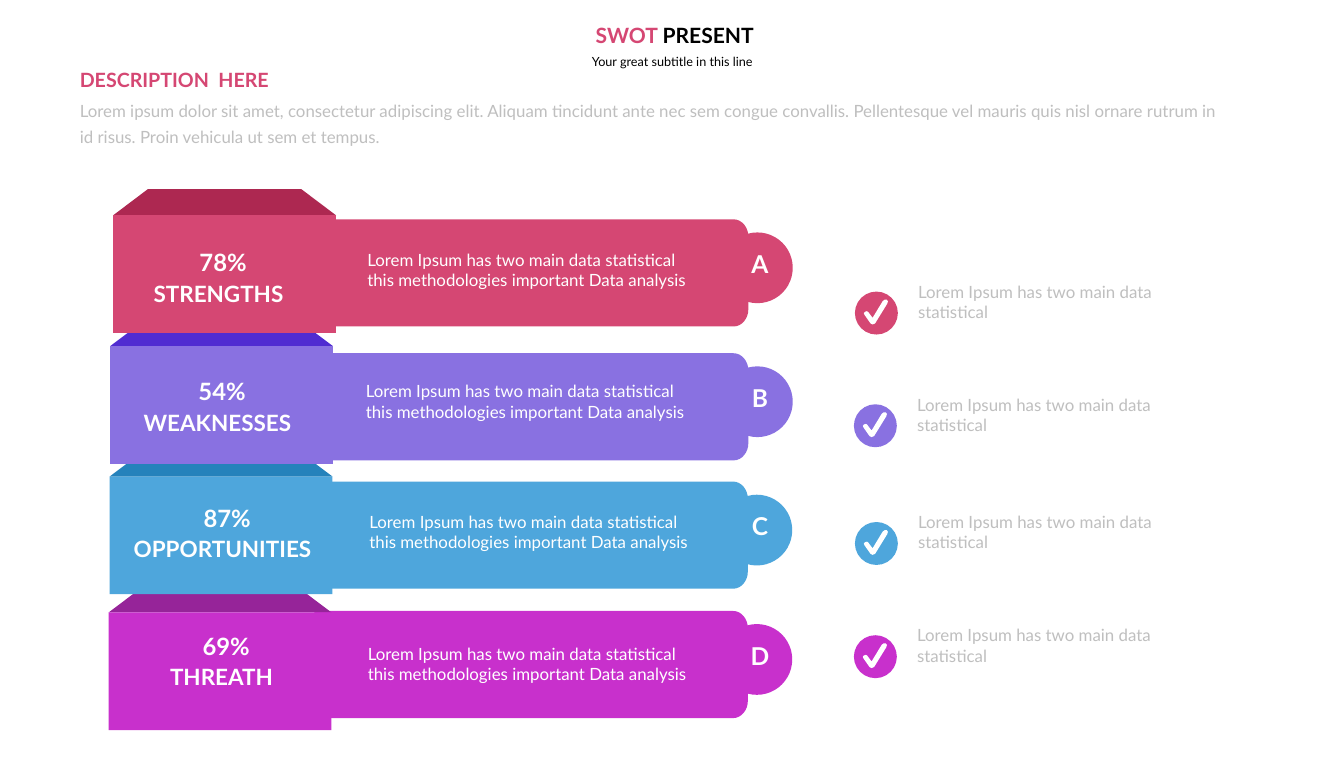
from dataclasses import dataclass

from lxml import etree
from pptx import Presentation
from pptx import util as u
from pptx.dml.color import RGBColor
from pptx.enum import shapes, text
from pptx.oxml.ns import qn

FONT = "Lato"
WHITE, BLACK, GREY, PINK = "FFFFFF", "000000", "BFBFBF", "D54773"
CENTER, LEFT = text.PP_ALIGN.CENTER, text.PP_ALIGN.LEFT
DETAIL = ("Lorem Ipsum has two main data statistical "
          "this methodologies important Data analysis")
NOTE = "Lorem Ipsum has two main data statistical"

# Outlines, in inches from the top left: two values make a line, six a Bézier curve.
BAR = [(8.29, 0), (0, 0), (0, 2.12), (8.29, 2.12),
       (8.46, 2.12, 8.58, 1.95, 8.58, 1.79), (8.58, 0.33),
       (8.58, 0.17, 8.46, 0, 8.29, 0)]
LID = [(4.41, 0.52), (0, 0.52), (0.69, 0), (3.72, 0)]
TICK = [(0.35, 0.65), (0.34, 0.65, 0.33, 0.64, 0.31, 0.63), (0.19, 0.46),
        (0.17, 0.44, 0.17, 0.41, 0.2, 0.4), (0.23, 0.38, 0.25, 0.39, 0.26, 0.4),
        (0.35, 0.52), (0.55, 0.19), (0.58, 0.16, 0.6, 0.15, 0.63, 0.16),
        (0.66, 0.17, 0.66, 0.21, 0.64, 0.24), (0.4, 0.63),
        (0.39, 0.64, 0.38, 0.65, 0.35, 0.65)]


@dataclass
class Point:
    left: float
    top: float


@dataclass
class Factor:
    letter: str
    name: str
    percent: str
    color: str
    lid_color: str
    bar: Point
    block: Point
    label: Point
    detail: Point
    tick: Point
    note_width: float


FACTORS = [
    Factor("A", "STRENGTHS", "78%", PINK, "AD2851", Point(6.23, 4.34),
           Point(2.24, 4.26), Point(2.24, 5.44), Point(7.03, 4.82), Point(16.92, 5.77), 6.28),
    Factor("B", "WEAKNESSES", "54%", "8971E1", "502CD1", Point(6.23, 6.99),
           Point(2.18, 6.85), Point(2.22, 7.99), Point(7, 7.42), Point(16.9, 8), 5.4),
    Factor("C", "OPPORTUNITIES", "87%", "4EA6DC", "2582BB", Point(6.22, 9.53),
           Point(2.17, 9.43), Point(2.32, 10.49), Point(7.07, 10.01), Point(16.92, 10.33), 6.28),
    Factor("D", "THREATH", "69%", "C830CC", "962499", Point(6.22, 12.09),
           Point(2.15, 12.12), Point(2.3, 13.03), Point(7.04, 12.61), Point(16.9, 12.57), 5.4),
]


def paint(shape, color: str) -> None:
    shape.fill.solid()
    shape.fill.fore_color.rgb = RGBColor.from_string(color)
    shape.line.fill.background()
    shape.shadow.inherit = False


def style_span(span, size: float, color: str, bold: bool) -> None:
    span.font.name = FONT
    span.font.size = u.Pt(size)
    span.font.bold = bold
    span.font.color.rgb = RGBColor.from_string(color)


def set_frame(frame, inset: float) -> None:
    """Wrap the text and set insets, the sides twice as wide as top and bottom."""
    frame.word_wrap = True
    frame.auto_size = text.MSO_AUTO_SIZE.SHAPE_TO_FIT_TEXT
    frame.vertical_anchor = text.MSO_ANCHOR.TOP
    frame.margin_left = frame.margin_right = u.Inches(inset)
    frame.margin_top = frame.margin_bottom = u.Inches(inset / 2)


def add_text(page, words: str, left: float, top: float, width: float, height: float,
             size: float, color: str, bold: bool = False, align=LEFT, inset: float = 0.2):
    box = page.shapes.add_textbox(*map(u.Inches, (left, top, width, height)))
    set_frame(box.text_frame, inset)
    para = box.text_frame.paragraphs[0]
    para.text = words
    para.alignment = align
    style_span(para.runs[0], size, color, bold)
    return box


def add_preset(page, kind, left: float, top: float, width: float, height: float,
               color: str) -> None:
    paint(page.shapes.add_shape(kind, *map(u.Inches, (left, top, width, height))), color)


def bend(shape, outline: list[tuple], left: float, top: float) -> None:
    """Turn the straight segments of a freeform into the curves of its outline."""
    segments = list(shape._element.iter(qn("a:lnTo")))
    for segment, part in zip(segments, outline[1:]):
        if len(part) == 2:
            continue
        segment.tag = qn("a:cubicBezTo")
        for index, (x, y) in enumerate((part[:2], part[2:4])):
            control = etree.Element(qn("a:pt"))
            control.set("x", str(u.Inches(left + x) - shape.left))
            control.set("y", str(u.Inches(top + y) - shape.top))
            segment.insert(index, control)


def add_outline(page, outline: list[tuple], left: float, top: float, color: str) -> None:
    points = [(u.Inches(left + part[-2]), u.Inches(top + part[-1])) for part in outline]
    builder = page.shapes.build_freeform(*points[0])
    builder.add_line_segments(points[1:], close=True)
    shape = builder.convert_to_shape()
    bend(shape, outline, left, top)
    paint(shape, color)


def add_heading(page) -> None:
    title = page.shapes.title
    title.left, title.top, title.width, title.height = map(u.Inches, (8.3, 0.34, 10.11, 0.71))
    set_frame(title.text_frame, 0.2)
    para = title.text_frame.paragraphs[0]
    para.alignment = CENTER
    for words, color in (("SWOT ", PINK), ("PRESENT", BLACK)):
        span = para.add_run()
        span.text = words
        style_span(span, 30, color, True)
    add_text(page, "Your great subtitle in this line", 9.22, 0.95, 8.17, 0.55,
             18, BLACK, align=CENTER, inset=0.24)
    intro = add_text(
        page, "Lorem ipsum dolor sit amet, consectetur adipiscing elit. Aliquam tincidunt "
        "ante nec sem congue convallis. Pellentesque vel mauris quis nisl ornare rutrum in "
        "id risus. Proin vehicula ut sem et tempus.",
        1.31, 1.73, 23.14, 1.32, 24, GREY, inset=0.27)
    intro.text_frame.vertical_anchor = text.MSO_ANCHOR.MIDDLE
    intro.text_frame.paragraphs[0].line_spacing = 1.3
    add_text(page, "DESCRIPTION  HERE", 1.38, 1.25, 4.61, 0.67, 28, PINK, True)


def add_bar(page, factor: Factor) -> None:
    left, top = factor.bar.left, factor.bar.top
    add_outline(page, BAR, left, top, factor.color)
    add_preset(page, shapes.MSO_SHAPE.OVAL, left + 8.06, top + 0.26, 1.4, 1.4, factor.color)
    add_text(page, factor.letter, 14.39, top + 0.54, 1.3, 0.69, 35, WHITE, True, CENTER, 0.1)


def add_block(page, factor: Factor) -> None:
    left, top = factor.block.left, factor.block.top
    add_outline(page, LID, left, top - 0.52, factor.lid_color)
    add_preset(page, shapes.MSO_SHAPE.RECTANGLE, left, top, 4.41, 2.33, factor.color)


def add_label(page, factor: Factor) -> None:
    left, top = factor.label.left, factor.label.top
    add_text(page, factor.name, left, top, 4.17, 0.74, 32, WHITE, True, CENTER)
    add_text(page, factor.percent, left + 0.35, top - 0.63, 3.65, 0.77, 34, WHITE, True, CENTER)


def add_detail(page, factor: Factor) -> None:
    add_text(page, DETAIL, factor.detail.left, factor.detail.top, 6.84, 1.05,
             24, WHITE, inset=0.24)


def add_note(page, factor: Factor) -> None:
    left, top = factor.tick.left, factor.tick.top
    add_text(page, NOTE, left + 1.01, top - 0.32, factor.note_width, 1.05,
             24, GREY, inset=0.24)
    add_preset(page, shapes.MSO_SHAPE.OVAL, left, top, 0.85, 0.85, factor.color)
    add_outline(page, TICK, left, top, WHITE)


def main() -> None:
    deck = Presentation()
    deck.slide_width, deck.slide_height = u.Inches(26.6), u.Inches(15)
    page = deck.slides.add_slide(deck.slide_layouts[5])
    add_heading(page)
    for factor in FACTORS:
        add_bar(page, factor)
    for factor in reversed(FACTORS):  # each block covers the lid of the one below
        add_block(page, factor)
    for add_part in (add_label, add_detail, add_note):
        for factor in FACTORS:
            add_part(page, factor)
    deck.save("out.pptx")


if __name__ == "__main__":
    main()
